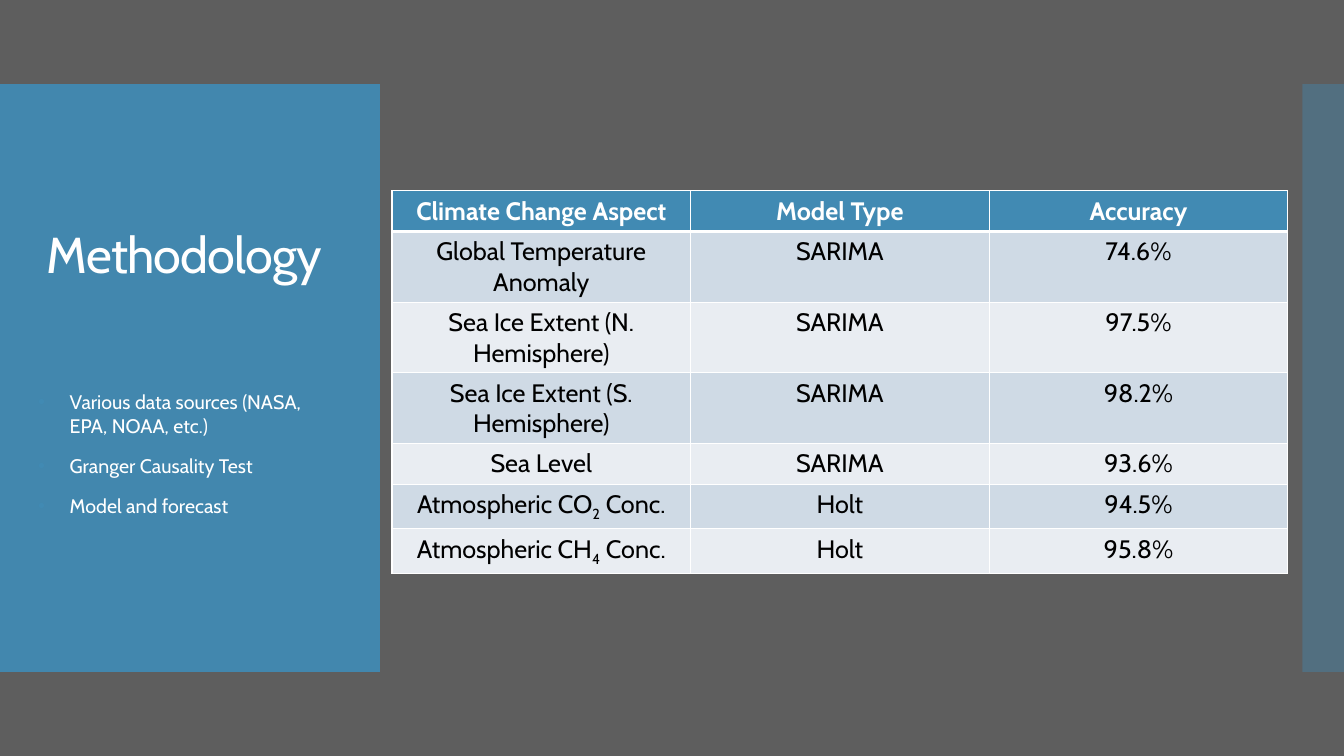
import pptx
import pptx.dml.color
import pptx.enum.shapes
import pptx.enum.text
import pptx.oxml.ns
import pptx.util
from lxml import etree

Pt = pptx.util.Pt
qn = pptx.oxml.ns.qn
ALIGN = pptx.enum.text.PP_ALIGN
FONT = "Cabin"
COLORS = {
    "background": "5E5E5E",
    "accent": "418AB3",
    "white": "FFFFFF",
    "black": "000000",
    "band_dark": "CFDAE5",
    "band_light": "E9EDF2",
}

BULLETS = [
    "Various data sources (NASA, EPA, NOAA, etc.)",
    "Granger Causality Test",
    "Model and forecast",
]

# Each cell is a list of pieces; every second piece is a subscript
RESULTS = [
    (["Climate Change Aspect"], ["Model Type"], ["Accuracy"]),
    (["Global Temperature Anomaly"], ["SARIMA"], ["74.6%"]),
    (["Sea Ice Extent (N. Hemisphere)"], ["SARIMA"], ["97.5%"]),
    (["Sea Ice Extent (S. Hemisphere)"], ["SARIMA"], ["98.2%"]),
    (["Sea Level"], ["SARIMA"], ["93.6%"]),
    (["Atmospheric CO", "2", " Conc."], ["Holt"], ["94.5%"]),
    (["Atmospheric CH", "4", " Conc."], ["Holt"], ["95.8%"]),
]


def rgb(name):
    return pptx.dml.color.RGBColor.from_string(COLORS[name])


def add_panel(slide, left, top, width, height, opacity):
    panel = slide.shapes.add_shape(
        pptx.enum.shapes.MSO_SHAPE.RECTANGLE,
        Pt(left), Pt(top), Pt(width), Pt(height))
    panel.shadow.inherit = False
    panel.line.fill.background()
    panel.fill.solid()
    panel.fill.fore_color.rgb = rgb("accent")
    tint = panel.fill._xPr.find(qn("a:solidFill"))[0]
    etree.SubElement(tint, qn("a:alpha"), val=str(opacity * 1000))


def add_run(paragraph, text, size, color, bold=False):
    run = paragraph.add_run()
    run.text = text
    run.font.name = FONT
    run.font.size = Pt(size)
    run.font.bold = bold
    run.font.color.rgb = rgb(color)
    return run


def add_text_frame(slide, left, top, width, height, anchor):
    frame = slide.shapes.add_textbox(
        Pt(left), Pt(top), Pt(width), Pt(height)).text_frame
    frame.word_wrap = True
    frame.vertical_anchor = anchor
    return frame


def add_title(slide, text):
    frame = add_text_frame(slide, 20.2, 90, 223.2, 187.2,
                           pptx.enum.text.MSO_ANCHOR.MIDDLE)
    heading = frame.paragraphs[0]
    heading.alignment = ALIGN.CENTER
    heading.line_spacing = 0.9
    run = add_run(heading, text, 36, "white")
    run._r.get_or_add_rPr().set("spc", "-60")


def add_bullets(slide, items):
    frame = add_text_frame(slide, 20.2, 275, 223.2, 183,
                           pptx.enum.text.MSO_ANCHOR.TOP)
    indent = Pt(22.5)
    for index, item in enumerate(items):
        point = frame.add_paragraph() if index else frame.paragraphs[0]
        if index:
            point.space_before = Pt(12)
        properties = point._p.get_or_add_pPr()
        properties.set("marL", str(indent))
        properties.set("indent", str(-indent))
        bullet_color = etree.SubElement(properties, qn("a:buClr"))
        etree.SubElement(bullet_color, qn("a:srgbClr"), val=COLORS["accent"])
        etree.SubElement(properties, qn("a:buFont"), typeface="Arial")
        etree.SubElement(properties, qn("a:buChar"), char="•")
        add_run(point, item, 14, "white")


def set_borders(cell, widths):
    properties = cell._tc.get_or_add_tcPr()
    for index, (side, width) in enumerate(zip("LRTB", widths)):
        border = etree.Element(qn(f"a:ln{side}"), w=str(Pt(width)))
        fill = etree.SubElement(border, qn("a:solidFill"))
        etree.SubElement(fill, qn("a:srgbClr"), val=COLORS["white"])
        properties.insert(index, border)


def fill_cell(cell, pieces, row):
    header = row == 0
    if header:
        band = "accent"
    else:
        band = "band_dark" if row % 2 else "band_light"
    cell.fill.solid()
    cell.fill.fore_color.rgb = rgb(band)
    set_borders(cell, (1, 1, 3 if row == 1 else 1, 3 if header else 1))
    paragraph = cell.text_frame.paragraphs[0]
    paragraph.alignment = ALIGN.CENTER
    for index, piece in enumerate(pieces):
        run = add_run(paragraph, piece, 18,
                      "white" if header else "black", header)
        if index % 2:
            run._r.get_or_add_rPr().set("baseline", "-25000")


def add_results_table(slide, rows):
    row_height, column_width = 29.2, 213.3
    columns = len(rows[0])
    table = slide.shapes.add_table(
        len(rows), columns, Pt(280), Pt(136.2),
        Pt(column_width * columns), Pt(row_height * len(rows))).table
    for column in table.columns:
        column.width = Pt(column_width)
    for r, row in enumerate(rows):
        table.rows[r].height = Pt(row_height)
        for c, pieces in enumerate(row):
            fill_cell(table.cell(r, c), pieces, r)


def main():
    deck = pptx.Presentation()
    deck.slide_width, deck.slide_height = Pt(960), Pt(540)
    slide = deck.slides.add_slide(deck.slide_layouts[6])
    slide.background.fill.solid()
    slide.background.fill.fore_color.rgb = rgb("background")

    # Side panels
    add_panel(slide, 0, 60, 271.4, 420, 95)
    add_panel(slide, 930.2, 60, 29.8, 420, 40)

    # Left column and results
    add_title(slide, "Methodology")
    add_bullets(slide, BULLETS)
    add_results_table(slide, RESULTS)

    deck.save("out.pptx")


if __name__ == "__main__":
    main()
